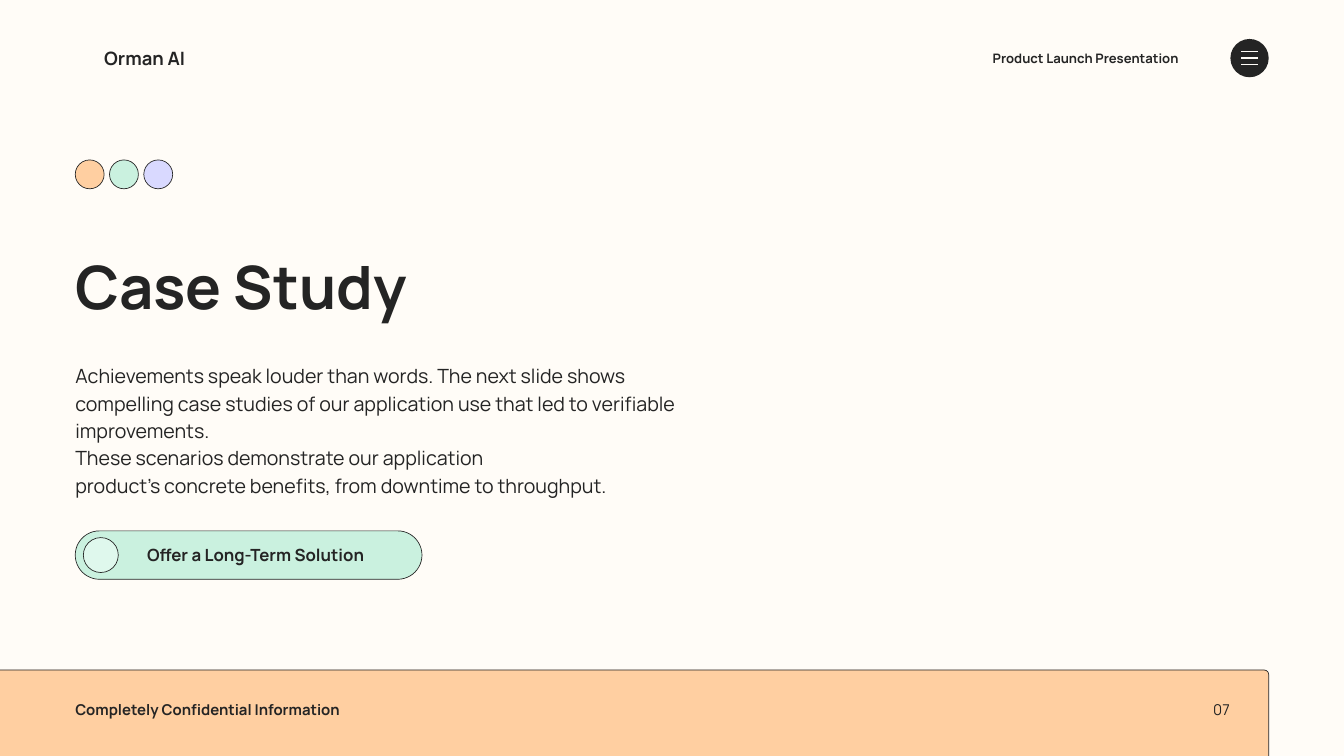
import dataclasses

import pptx
import pptx.dml.color
import pptx.enum.shapes
import pptx.enum.text
import pptx.oxml.ns
import pptx.util
from lxml import etree

SHAPE = pptx.enum.shapes.MSO_SHAPE
ALIGN = pptx.enum.text.PP_ALIGN

# The page is a grid of square cells: 100 columns by 56.25 rows
CELL = 0.2
COLUMNS, ROWS = 100, 56.25


@dataclasses.dataclass(frozen=True)
class Theme:
    font: str = "Manrope"
    ink: str = "242424"
    paper: str = "FFFCF7"
    orange: str = "FFCFA1"
    mint: str = "CAF1DF"
    pale_mint: str = "DFF8ED"
    lilac: str = "D9D9FF"
    outline: float = 0.75
    bar: float = 1.5
    title: float = 64
    body: float = 21
    brand: float = 19.7
    button: float = 18
    footer: float = 16
    label: float = 14


@dataclasses.dataclass(frozen=True)
class Box:
    left: float
    top: float
    width: float
    height: float

    def inner(self, column, row, width, height):
        return Box(self.left + column, self.top + row, width, height)

    def place(self):
        return [cells(n) for n in (self.left, self.top, self.width, self.height)]


THEME = Theme()


def cells(count):
    return pptx.util.Inches(count * CELL)


def color(code):
    return pptx.dml.color.RGBColor.from_string(code)


def add_shape(page, kind, box, fill, outlined=True):
    shape = page.shapes.add_shape(kind, *box.place())
    shape.shadow.inherit = False
    shape.fill.solid()
    shape.fill.fore_color.rgb = color(fill)
    if outlined:
        shape.line.color.rgb = color(THEME.ink)
        shape.line.width = pptx.util.Pt(THEME.outline)
    else:
        shape.line.fill.background()
    return shape


def add_text(page, box, lines, size, bold=True, align=ALIGN.LEFT, leading=1.4):
    frame = page.shapes.add_textbox(*box.place()).text_frame
    frame.word_wrap = True
    frame.auto_size = pptx.enum.text.MSO_AUTO_SIZE.SHAPE_TO_FIT_TEXT
    frame.margin_left = frame.margin_right = 0
    frame.margin_top = frame.margin_bottom = 0
    for index, line in enumerate(lines):
        para = frame.add_paragraph() if index else frame.paragraphs[0]
        para.alignment = align
        para.line_spacing = pptx.util.Pt(round(size * leading, 1))
        span = para.add_run()
        span.text = line
        span.font.name = THEME.font
        span.font.size = pptx.util.Pt(size)
        span.font.bold = bold
        span.font.color.rgb = color(THEME.ink)


def add_bar(page, left, right, row):
    bar = page.shapes.add_connector(
        pptx.enum.shapes.MSO_CONNECTOR.STRAIGHT,
        cells(left), cells(row), cells(right), cells(row))
    bar.line.color.rgb = color(THEME.paper)
    bar.line.width = pptx.util.Pt(THEME.bar)
    etree.SubElement(bar._element.spPr, pptx.oxml.ns.qn("a:effectLst"))


def draw_header(page, box):
    # Brand and presentation label
    add_text(page, box.inner(2.15, 0.3, 8.9, 1.95), ["Orman AI"],
             THEME.brand, align=ALIGN.JUSTIFY)
    add_text(page, box.inner(63.85, 0.65, 18.25, 1.4),
             ["Product Launch Presentation"], THEME.label, align=ALIGN.RIGHT)

    # Round menu button with three bars
    size = box.height
    menu = box.inner(box.width - size, 0, size, size)
    add_shape(page, SHAPE.OVAL, menu, THEME.ink, outlined=False)
    inset, gap = 0.8, 0.48
    for step in (-1, 0, 1):
        add_bar(page, menu.left + inset, menu.left + size - inset,
                menu.top + size / 2 + step * gap)


def draw_dots(page, box):
    size = box.height
    fills = (THEME.orange, THEME.mint, THEME.lilac)
    pitch = (box.width - size) / (len(fills) - 1)
    for index, fill in enumerate(fills):
        add_shape(page, SHAPE.OVAL, box.inner(index * pitch, 0, size, size), fill)


def draw_story(page, box):
    # Title, then the text below it
    add_text(page, box.inner(0, 0, 35.35, 5.6), ["Case Study"],
             THEME.title, leading=1.2)
    add_text(page, box.inner(0, 8.25, box.width, 10.2), [
        "Achievements speak louder than words. The next slide shows",
        "compelling case studies of our application use that led to verifiable",
        "improvements.",
        "These scenarios demonstrate our application",
        "product's concrete benefits, from downtime to throughput.",
    ], THEME.body, bold=False)


def draw_button(page, box):
    # Pill, knob and caption
    pill = add_shape(page, SHAPE.ROUNDED_RECTANGLE, box, THEME.mint)
    pill.adjustments[0] = 0.5
    add_shape(page, SHAPE.OVAL, box.inner(0.6, 0.5, 2.6, 2.6), THEME.pale_mint)
    add_text(page, box.inner(5.35, 0.75, 22.3, 1.8),
             ["Offer a Long-Term Solution"], THEME.button)


def draw_footer(page, box):
    # Band that bleeds off the left and bottom edges
    band = add_shape(page, SHAPE.ROUNDED_RECTANGLE, box, THEME.orange)
    band.adjustments[0] = 0.04

    # Notice and page number
    add_text(page, box.inner(7.45, 2.05, 22.05, 1.55),
             ["Completely Confidential Information"], THEME.footer)
    add_text(page, box.inner(88.55, 2.05, 4.8, 1.55), ["07"],
             THEME.footer, bold=False, align=ALIGN.RIGHT)


def main():
    deck = pptx.Presentation()
    deck.slide_width, deck.slide_height = cells(COLUMNS), cells(ROWS)
    page = deck.slides.add_slide(deck.slide_layouts[6])
    page.background.fill.solid()
    page.background.fill.fore_color.rgb = color(THEME.paper)

    margin = 5.6
    draw_footer(page, Box(-1.85, 49.85, 96.25, 8.65))
    draw_header(page, Box(margin, 2.9, COLUMNS - 2 * margin, 2.85))
    draw_dots(page, Box(margin, 11.9, 7.25, 2.15))
    draw_story(page, Box(margin, 18.55, 52.25, 18.45))
    draw_button(page, Box(margin, 39.5, 25.8, 3.6))
    deck.save("out.pptx")


if __name__ == "__main__":
    main()
